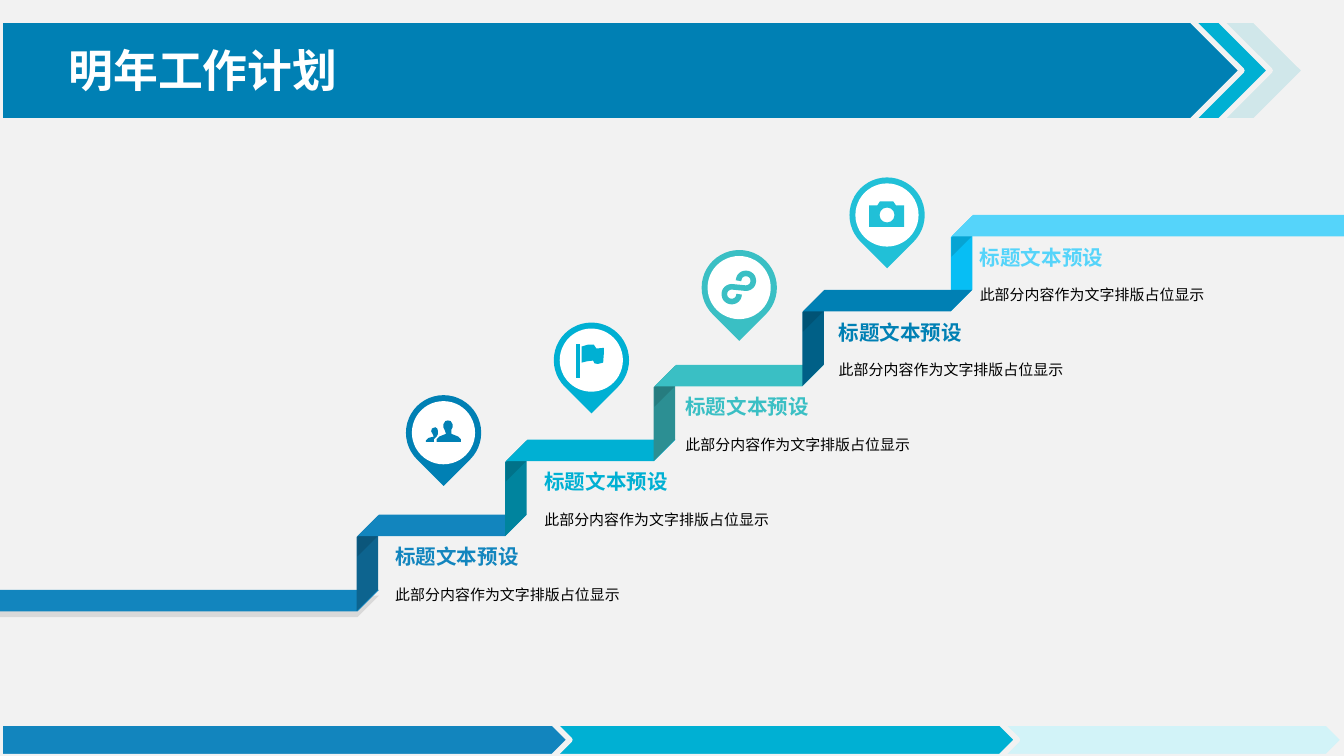
import math
from dataclasses import dataclass

import lxml.etree
import pptx
import pptx.dml.color
import pptx.enum.shapes
import pptx.enum.text
import pptx.oxml.ns
import pptx.util

Inches = pptx.util.Inches
Pt = pptx.util.Pt
MSO = pptx.enum.shapes.MSO_SHAPE
qn = pptx.oxml.ns.qn

FONT = "Noto Sans CJK SC"
COLORS = {
    "bg": "F2F2F2", "white": "FFFFFF", "black": "000000",
    "deep": "0080B4", "blue": "1285BE", "cyan": "00B0D3", "teal": "3ABFC4",
    "sky": "55D4FA", "aqua": "21C0D7", "mist": "D0E7EA", "ice": "D2F3F8",
    "blue_side": "0D648F", "blue_dark": "09425F",
    "cyan_side": "00849E", "cyan_dark": "00586A",
    "teal_side": "2C8F93", "teal_dark": "1D6062",
    "deep_side": "006087", "deep_dark": "00405A",
    "sky_side": "07BEF4", "sky_dark": "057EA3",
}
BAND = 0.16  # thickness of the staircase ribbon


@dataclass
class Step:
    color: str
    text_x: float
    width: float = 1.26


@dataclass
class Pin:
    color: str
    outlines: list  # offsets from the pin centre, in hundredths of an inch


STEPS = [
    Step("blue", 2.94), Step("cyan", 4.05), Step("teal", 5.1),
    Step("deep", 6.24), Step("sky", 7.29, 3.1),
]
DRAW_ORDER = [0, 1, 2, 4, 3]  # the fourth tread covers the foot of the fifth riser

PERSON_BACK = [(-13, 7), (-13, 6), (-11, 4), (-7, 3), (-8, 1), (-9, -1), (-8.5, -3),
               (-6, -4), (-4.5, -3), (-4, -1), (-4, 1), (-5, 3), (-7, 5), (-7, 7)]
PERSON_FRONT = [(-5, 7), (-5, 5), (-3, 3), (2, 1), (1, -2), (0, -4), (0, -6),
                (1.5, -8.5), (3.5, -9), (5.5, -8.5), (7, -6), (7, -4), (6, -2),
                (6, 1), (11, 3), (13, 5), (13, 7)]
FLAG = [(-7, -10), (-2, -11.5), (2, -11.5), (3, -10), (4, -8.5), (9.5, -9), (9.5, -5),
        (9, 2), (5, 3), (2.5, 2.5), (1.5, 0.5), (-3, 1), (-7, 2)]
POLE = [(-11, -12), (-8, -12), (-8, 13), (-11, 13)]
CAMERA = [(-13, -7), (-7, -7), (-5, -10), (5, -10), (7, -7), (13, -7), (13, 9), (-13, 9)]

PINS = [
    Pin("deep", [PERSON_BACK, PERSON_FRONT]),
    Pin("cyan", [FLAG, POLE]),
    Pin("teal", []),
    Pin("aqua", [CAMERA]),
]


def rgb(name: str) -> pptx.dml.color.RGBColor:
    return pptx.dml.color.RGBColor.from_string(COLORS[name])


def paint(sp, color: str) -> None:
    sp.shadow.inherit = False
    sp.fill.solid()
    sp.fill.fore_color.rgb = rgb(color)
    sp.line.fill.background()


def add_preset(s, kind, x: float, y: float, w: float, h: float, color: str):
    sp = s.shapes.add_shape(kind, Inches(x), Inches(y), Inches(w), Inches(h))
    paint(sp, color)
    return sp


def add_arrow_bar(s, y: float, w: float, h: float, color: str) -> None:
    sp = add_preset(s, MSO.PENTAGON, 0, y, w, h, color)
    sp.line.color.rgb = rgb("bg")
    sp.line.width = Pt(3)


def add_band(s, x: float, y: float, w: float, color: str, riser: bool = False):
    sp = add_preset(s, MSO.PARALLELOGRAM, x, y, w, BAND, color)
    sp.adjustments[0] = 1
    if riser:
        sp.rotation = 90
        sp._element.spPr.find(qn("a:xfrm")).set("flipH", "1")
    return sp


def add_alpha(color_parent, percent: int) -> None:
    alpha = lxml.etree.SubElement(color_parent.find(".//" + qn("a:srgbClr")), qn("a:alpha"))
    alpha.set("val", str(percent * 1000))


def add_drop_shadow(sp) -> None:
    effects = sp._element.spPr.find(qn("a:effectLst"))
    shadow = lxml.etree.SubElement(effects, qn("a:outerShdw"), dist=str(Pt(3)), dir="5400000")
    lxml.etree.SubElement(shadow, qn("a:srgbClr"), val=COLORS["black"])
    add_alpha(shadow, 10)


def add_outline(s, cx: float, cy: float, points: list, close: bool = True):
    pts = [(cx * 1000 + dx * 10, cy * 1000 + dy * 10) for dx, dy in points]
    fb = s.shapes.build_freeform(*pts[0], scale=Inches(0.001))
    fb.add_line_segments(pts[1:], close=close)
    return fb.convert_to_shape()


def add_text(s, x: float, y: float, w: float, h: float, text: str, size: int,
             color: str, bold: bool = False, wrap: bool = True, inset: tuple = (0, 0)):
    tf = s.shapes.add_textbox(Inches(x), Inches(y), Inches(w), Inches(h)).text_frame
    tf.word_wrap = wrap
    tf.margin_left = tf.margin_right = Inches(inset[0])
    tf.margin_top = tf.margin_bottom = Inches(inset[1])
    p = tf.paragraphs[0]
    p.text = text
    p.font.size, p.font.bold, p.font.name = Pt(size), bold, FONT
    p.font.color.rgb = rgb(color)
    lxml.etree.SubElement(p.font._element, qn("a:ea"), typeface=FONT)
    return tf


def add_step(s, step: Step, x: float, y: float) -> None:
    add_band(s, x - 0.28, y + 0.28, 0.71, step.color + "_side", riser=True)
    fold = add_band(s, x - 0.07, y + 0.08, 0.3, step.color + "_dark", riser=True)
    add_alpha(fold._element.spPr, 40)
    add_band(s, x, y, step.width, step.color)


def add_label(s, step: Step, y: float) -> None:
    add_text(s, step.text_x, y + 0.22, 2.12, 0.28, "标题文本预设", 11, step.color,
             bold=True, wrap=False)
    tf = add_text(s, step.text_x, y + 0.5, 2.12, 0.27, "此部分内容作为文字排版占位显示", 8, "black")
    tf.paragraphs[0].line_spacing = 1.2


def add_disc(s, cx: float, cy: float, d: float, color: str, kind=MSO.OVAL):
    return add_preset(s, kind, cx - d / 2, cy - d / 2, d, d, color)


def add_pin(s, pin: Pin, cx: float, cy: float) -> None:
    add_disc(s, cx, cy, 0.56, pin.color, MSO.TEAR).rotation = 135
    add_disc(s, cx, cy, 0.47, "white")
    for points in pin.outlines:
        paint(add_outline(s, cx, cy, points), pin.color)


def add_link_icon(s, cx: float, cy: float, color: str) -> None:
    def arc(x, y, angles):
        return [(x + 5.5 * math.cos(math.radians(a)), y + 5.5 * math.sin(math.radians(a)))
                for a in angles]

    points = arc(5.3, -5, range(180, 451, 15)) + arc(-5.3, 5, range(270, -1, -15))
    sp = add_outline(s, cx, cy, points, close=False)
    sp.shadow.inherit = False
    sp.fill.background()
    sp.line.color.rgb = rgb(color)
    sp.line.width = Pt(3)


def main() -> None:
    prs = pptx.Presentation()
    prs.slide_width = Inches(10)
    prs.slide_height = prs.slide_width * 9 // 16
    s = prs.slides.add_slide(prs.slide_layouts[6])
    s.background.fill.solid()
    s.background.fill.fore_color.rgb = rgb("bg")

    # Header and footer bars, longest at the back
    for width, color in [(9.71, "mist"), (9.45, "cyan"), (9.24, "deep")]:
        add_arrow_bar(s, 0.15, width, 0.75, color)
    for width, color in [(10, "ice"), (7.57, "cyan"), (4.24, "blue")]:
        add_arrow_bar(s, 5.38, width, 0.25, color)

    # Staircase: ground floor, then evenly spaced steps
    add_drop_shadow(add_band(s, -0.17, 4.39, 2.99, "blue"))
    step_dx, step_dy = (7.08 - 2.66) / 4, (3.83 - 1.6) / 4
    for i in DRAW_ORDER:
        add_step(s, STEPS[i], 2.66 + i * step_dx, 3.83 - i * step_dy)

    # Pins with icons
    pin_dx, pin_dy = 1.1, 0.54
    centers = [(3.3 + i * pin_dx, 3.22 - i * pin_dy) for i in range(len(PINS))]
    for pin, center in zip(PINS, centers):
        add_pin(s, pin, *center)
    add_link_icon(s, *centers[2], "teal")
    add_disc(s, *centers[3], 0.11, "white")  # camera lens

    # Step labels and slide title
    for i, step in enumerate(STEPS):
        add_label(s, step, 3.83 - i * step_dy)
    tf = add_text(s, 0.44, 0.28, 3.34, 0.48, "明年工作计划", 24, "white", bold=True,
                  inset=(0.07, 0.04))
    tf.auto_size = pptx.enum.text.MSO_AUTO_SIZE.SHAPE_TO_FIT_TEXT

    prs.save("out.pptx")


if __name__ == "__main__":
    main()
